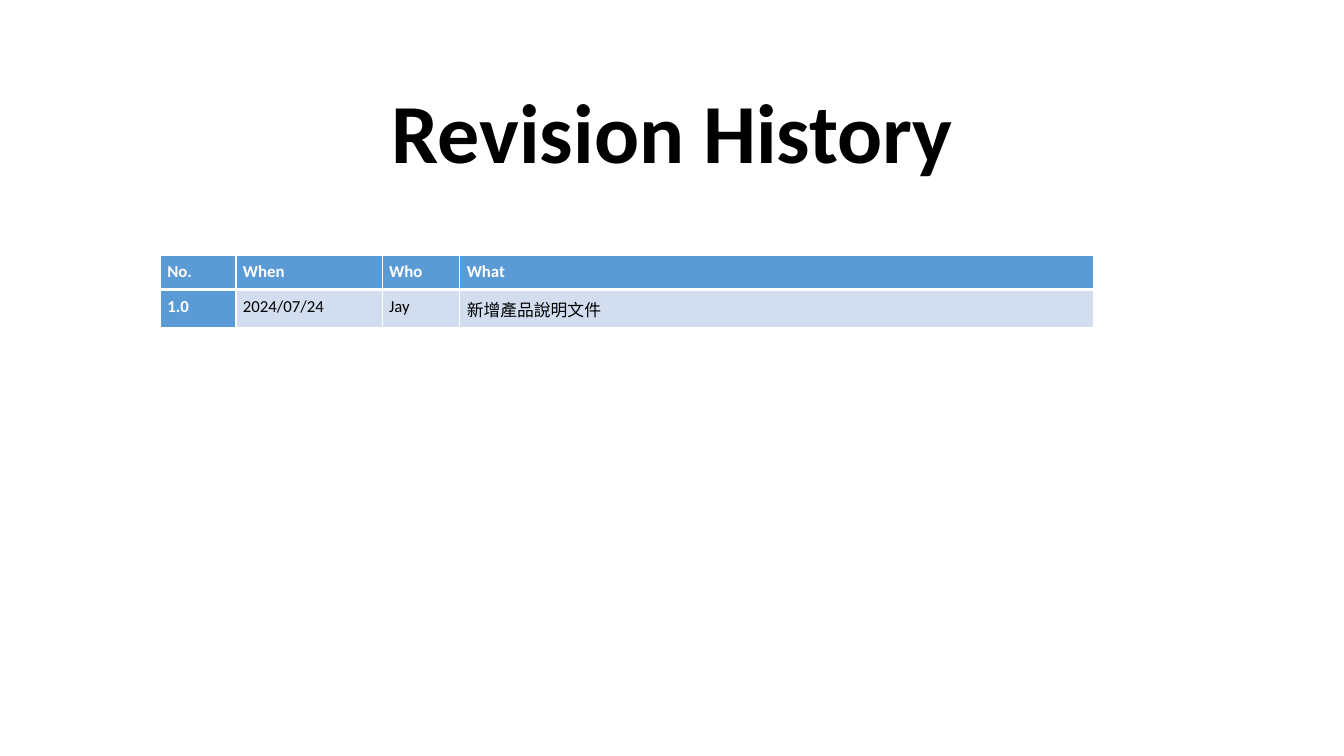
from dataclasses import dataclass

from lxml import etree
from pptx import Presentation
from pptx.dml.color import RGBColor
from pptx.enum.text import MSO_ANCHOR, PP_ALIGN
from pptx.oxml.ns import qn
from pptx.util import Inches, Pt

BOTTOM = MSO_ANCHOR.BOTTOM
CENTER = PP_ALIGN.CENTER


@dataclass(frozen=True)
class Theme:
    """Fonts, type sizes and colours of the slide."""
    font: str = "Calibri"
    title: int = 60
    body: int = 12
    ink: str = "000000"
    paper: str = "FFFFFF"
    head: str = "5B9BD5"
    band: str = "D2DEEF"


THEME = Theme()
COLS = (0.75, 1.45, 0.77, 6.29)
ROWS = (
    ("No.", "When", "Who", "What"),
    ("1.0", "2024/07/24", "Jay", "新增產品說明文件"),
)
ROW_H = 0.34
PAD = 0.07


def style(para, size, color, bold):
    """Set the font of a paragraph."""
    font = para.font
    font.name = THEME.font
    font.size = Pt(size)
    font.bold = bold
    font.color.rgb = RGBColor.from_string(color)


def add_title(slide, text):
    """Add the centred slide title."""
    box = slide.shapes.add_textbox(
        Inches(0.92), Inches(0.4), Inches(11.5), Inches(1.45))
    frame = box.text_frame
    frame.word_wrap = True
    frame.vertical_anchor = BOTTOM
    para = frame.paragraphs[0]
    para.text = text
    para.alignment = CENTER
    para.line_spacing = 0.9
    style(para, THEME.title, THEME.ink, True)


def add_edges(cell, widths):
    """Draw the cell borders, given points by side."""
    props = cell._tc.get_or_add_tcPr()
    for spot, (side, width) in enumerate(widths.items()):
        line = etree.Element(qn(f"a:ln{side}"), w=str(Pt(width)))
        fill = etree.SubElement(line, qn("a:solidFill"))
        etree.SubElement(fill, qn("a:srgbClr"), val=THEME.paper)
        props.insert(spot, line)


def fill_cell(cell, text, head, top, low):
    """Write one cell with its fill, margins and borders."""
    cell.text = text
    cell.margin_left = cell.margin_right = Inches(PAD)
    cell.margin_top = cell.margin_bottom = Inches(PAD)
    color = THEME.paper if head else THEME.ink
    style(cell.text_frame.paragraphs[0], THEME.body, color, head)
    cell.fill.solid()
    cell.fill.fore_color.rgb = RGBColor.from_string(
        THEME.head if head else THEME.band)
    add_edges(cell, {"L": 1, "R": 1, "T": top, "B": low})


def add_grid(slide):
    """Add the revision table."""
    table = slide.shapes.add_table(
        len(ROWS), len(COLS), Inches(1.59), Inches(2.53),
        Inches(sum(COLS)), Inches(ROW_H * len(ROWS))).table
    for col, width in zip(table.columns, COLS):
        col.width = Inches(width)
    for r, row in enumerate(ROWS):
        table.rows[r].height = Inches(ROW_H)
        top, low = (3 if r == 1 else 1), (3 if r == 0 else 1)
        for c, text in enumerate(row):
            fill_cell(table.cell(r, c), text, r == 0 or c == 0, top, low)


def main():
    """Build and save the slide."""
    deck = Presentation()
    deck.slide_width = Inches(13.33)
    deck.slide_height = Inches(7.5)
    slide = deck.slides.add_slide(deck.slide_layouts[6])
    add_grid(slide)
    add_title(slide, "Revision History")
    deck.save("out.pptx")


if __name__ == "__main__":
    main()
